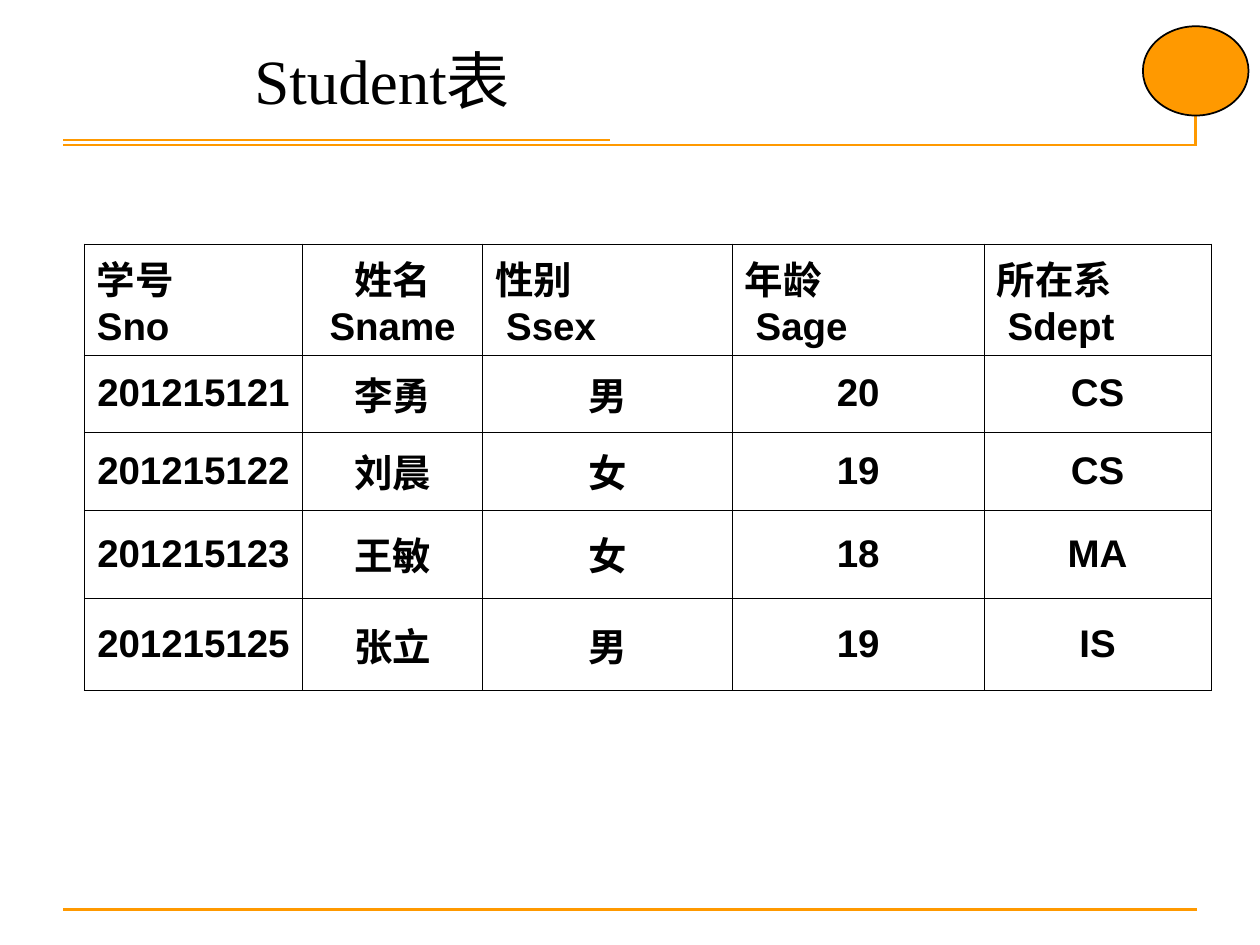
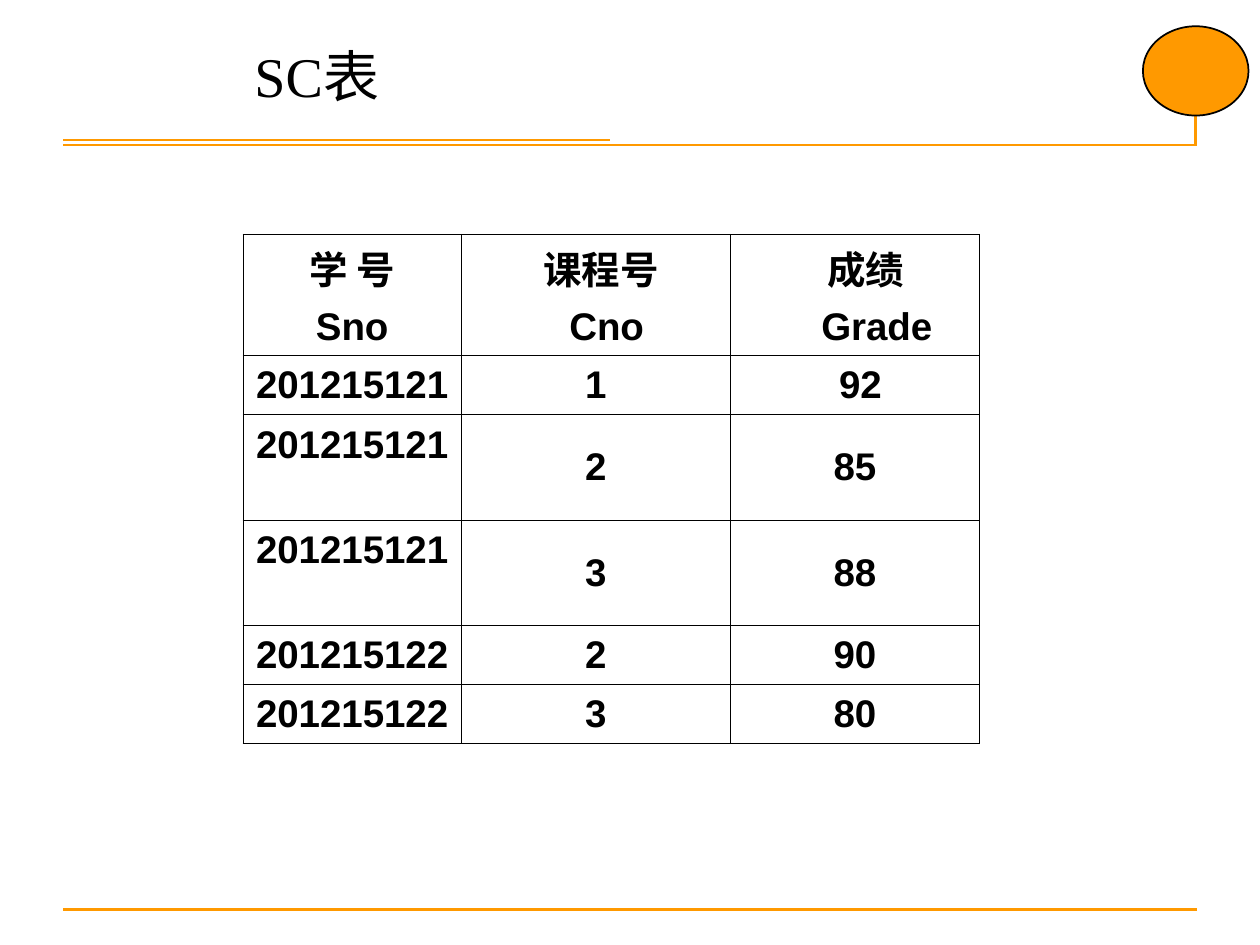
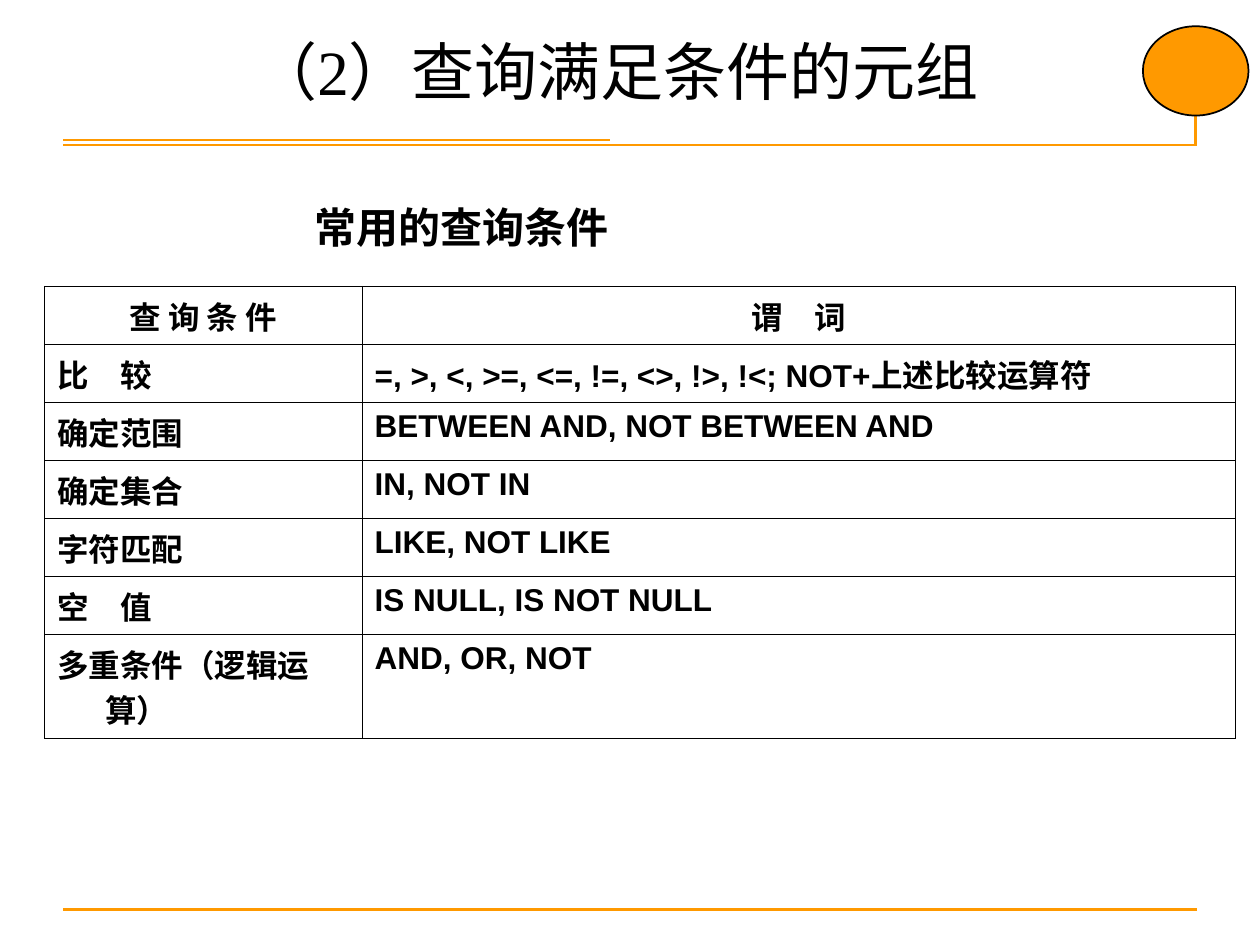
"""Build three slides on SQL sample tables and query conditions."""
from lxml import etree
from pptx import Presentation
from pptx import util as u
from pptx.dml.color import RGBColor
from pptx.enum import shapes, text
from pptx.oxml.ns import qn

ORANGE, BLACK = "FF9900", "000000"
SERIF, SANS = "Times New Roman", "Arial"
SPACE_WIDTH = 0.22
HANGING = 0.97

RULES = [
    (1.27, 18.33, 24.13, 18.33),
    (1.28, 2.92, 24.12, 2.92),
    (24.1, 0.71, 24.1, 2.92),
    (1.28, 2.82, 12.3, 2.82),
]
CORNER_DISC = (23.04, 0.53, 2.13, 1.8)

SLIDES = [
    {
        "title": ("Student表", 36, 0.71),
        "table": {
            "corner": (1.7, 4.92), "size": 22, "anchor": "middle",
            "columns": [4.4, 3.63, 5.03, 5.08, 4.57],
            "heights": [2.24, 1.55, 1.57, 1.78, 1.86],
            "header_align": "lclll", "body_align": "ccccc",
            "indents": {(0, 2): (0, 1), (0, 3): (0, 1), (0, 4): (0, 1)},
            "rows": [
                ["学号\nSno", "姓名\nSname", "性别\nSsex", "年龄\nSage", "所在系\nSdept"],
                ["201215121", "李勇", "男", "20", "CS"],
                ["201215122", "刘晨", "女", "19", "CS"],
                ["201215123", "王敏", "女", "18", "MA"],
                ["201215125", "张立", "男", "19", "IS"],
            ],
        },
    },
    {
        "title": ("SC表", 32, 0.71),
        "table": {
            "corner": (4.9, 4.72), "size": 22, "anchor": "middle", "line_gap": 5.5,
            "columns": [4.4, 5.42, 5.03],
            "heights": [2.44, 1.19, 2.13, 2.13, 1.19, 1.19],
            "header_align": "ccc", "body_align": "ccc",
            "indents": {(0, 1): (1, 2), (0, 2): (2, 4), (1, 2): (1,)},
            "raised": [(2, 0), (3, 0)],
            "rows": [
                ["学 号\nSno", "课程号\nCno", "成绩\nGrade"],
                ["201215121", "1", "92"],
                ["201215121", "2", "85"],
                ["201215121", "3", "88"],
                ["201215122", "2", "90"],
                ["201215122", "3", "80"],
            ],
        },
    },
    {
        "title": ("（2）查询满足条件的元组", 36, 0.53),
        "caption": "常用的查询条件",
        "table": {
            "corner": (0.9, 5.77), "size": 18, "anchor": "top", "hanging": True,
            "columns": [6.4, 17.6],
            "heights": [1.17] * 6 + [2.1],
            "header_align": "cc", "body_align": "ll",
            "rows": [
                ["查 询 条 件", "谓　词"],
                ["比　较", "=, >, <, >=, <=, !=, <>, !>, !<; NOT+上述比较运算符"],
                ["确定范围", "BETWEEN AND, NOT BETWEEN AND"],
                ["确定集合", "IN, NOT IN"],
                ["字符匹配", "LIKE, NOT LIKE"],
                ["空　值", "IS NULL, IS NOT NULL"],
                ["多重条件（逻辑运算）", "AND, OR, NOT"],
            ],
        },
    },
]

ALIGN = {"l": text.PP_ALIGN.LEFT, "c": text.PP_ALIGN.CENTER}
ANCHOR = {"top": text.MSO_ANCHOR.TOP, "middle": text.MSO_ANCHOR.MIDDLE}


def color(value):
    return RGBColor.from_string(value)


def add_span(para, words, size, font, bold=False):
    span = para.add_run()
    span.text = words
    span.font.size = u.Pt(size)
    span.font.name = font
    span.font.bold = bold
    span.font.color.rgb = color(BLACK)


def set_indent(para, left, first=0):
    properties = para._p.get_or_add_pPr()
    properties.set("marL", str(u.Cm(left)))
    properties.set("indent", str(u.Cm(first)))


def add_rule(page, ends):
    rule = page.shapes.add_connector(shapes.MSO_CONNECTOR.STRAIGHT, *map(u.Cm, ends))
    rule.line.color.rgb = color(ORANGE)
    rule.line.width = u.Pt(1.5)
    etree.SubElement(rule._element.spPr, qn("a:effectLst"))


def add_corner_disc(page):
    disc = page.shapes.add_shape(shapes.MSO_SHAPE.OVAL, *map(u.Cm, CORNER_DISC))
    disc.shadow.inherit = False
    disc.fill.solid()
    disc.fill.fore_color.rgb = color(ORANGE)
    disc.line.color.rgb = color(BLACK)
    disc.line.width = u.Pt(1)


def add_text(page, place, words, size, bold=False):
    box = page.shapes.add_textbox(*map(u.Cm, place))
    frame = box.text_frame
    frame.word_wrap = True
    add_span(frame.paragraphs[0], words, size, SERIF, bold)


def add_borders(cell):
    properties = cell._tc.get_or_add_tcPr()
    for position, side in enumerate(("lnL", "lnR", "lnT", "lnB")):
        border = etree.Element(qn("a:" + side), w=str(u.Pt(0.45)))
        fill = etree.SubElement(border, qn("a:solidFill"))
        etree.SubElement(fill, qn("a:srgbClr"), val=BLACK)
        properties.insert(position, border)


def fill_cell(cell, words, data, align, indents, raised):
    cell.fill.background()
    add_borders(cell)
    cell.vertical_anchor = ANCHOR["top" if raised else data["anchor"]]
    if raised:
        cell.margin_top = u.Cm(0.18)
    frame = cell.text_frame
    for number, line in enumerate(words.split("\n")):
        para = frame.add_paragraph() if number else frame.paragraphs[0]
        para.alignment = ALIGN[align]
        if number:
            para.space_before = u.Pt(data.get("line_gap", 0))
        if data.get("hanging"):
            set_indent(para, HANGING, -HANGING)
        elif indents:
            set_indent(para, indents[number] * SPACE_WIDTH)
        add_span(para, line, data["size"], SANS, bold=True)


def add_grid(page, data):
    columns, heights, rows = data["columns"], data["heights"], data["rows"]
    place = (*data["corner"], sum(columns), sum(heights))
    table = page.shapes.add_table(len(rows), len(columns), *map(u.Cm, place)).table
    table.first_row = table.horz_banding = False
    for column, width in zip(table.columns, columns):
        column.width = u.Cm(width)
    for row, height in zip(table.rows, heights):
        row.height = u.Cm(height)
    for r, row in enumerate(rows):
        aligns = data["body_align" if r else "header_align"]
        for c, words in enumerate(row):
            fill_cell(table.cell(r, c), words, data, aligns[c],
                      data.get("indents", {}).get((r, c)),
                      (r, c) in data.get("raised", []))


def main():
    deck = Presentation()
    deck.slide_width, deck.slide_height = u.Cm(25.4), u.Cm(19.05)
    for content in SLIDES:
        page = deck.slides.add_slide(deck.slide_layouts[6])
        for ends in RULES:
            add_rule(page, ends)
        add_corner_disc(page)
        title, size, top = content["title"]
        add_text(page, (4.88, top, 20.52, 1.57), title, size)
        add_grid(page, content["table"])
        if "caption" in content:
            add_text(page, (6.1, 3.94, 8.33, 1.27), content["caption"], 24, bold=True)
    deck.save("out.pptx")


if __name__ == "__main__":
    main()
